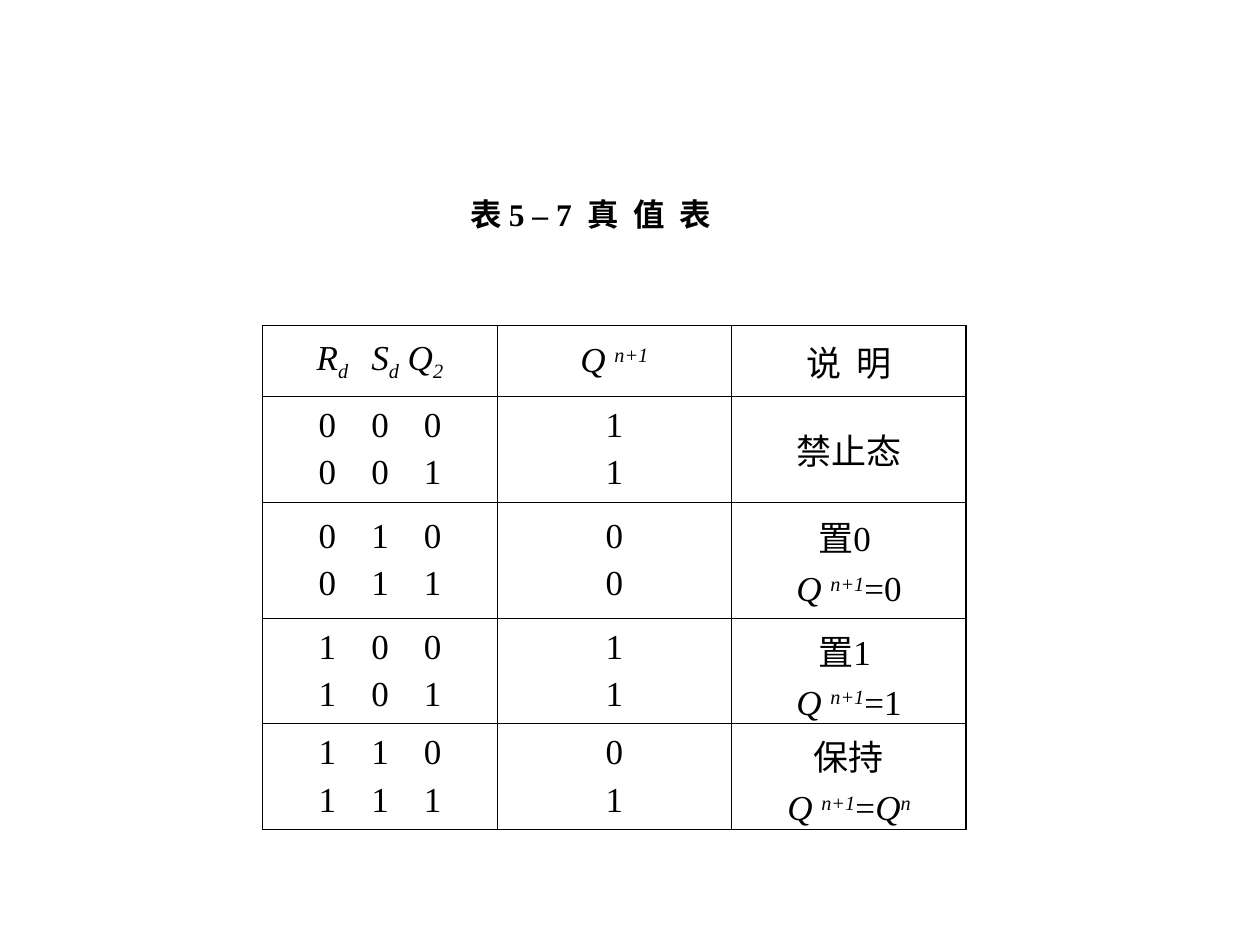
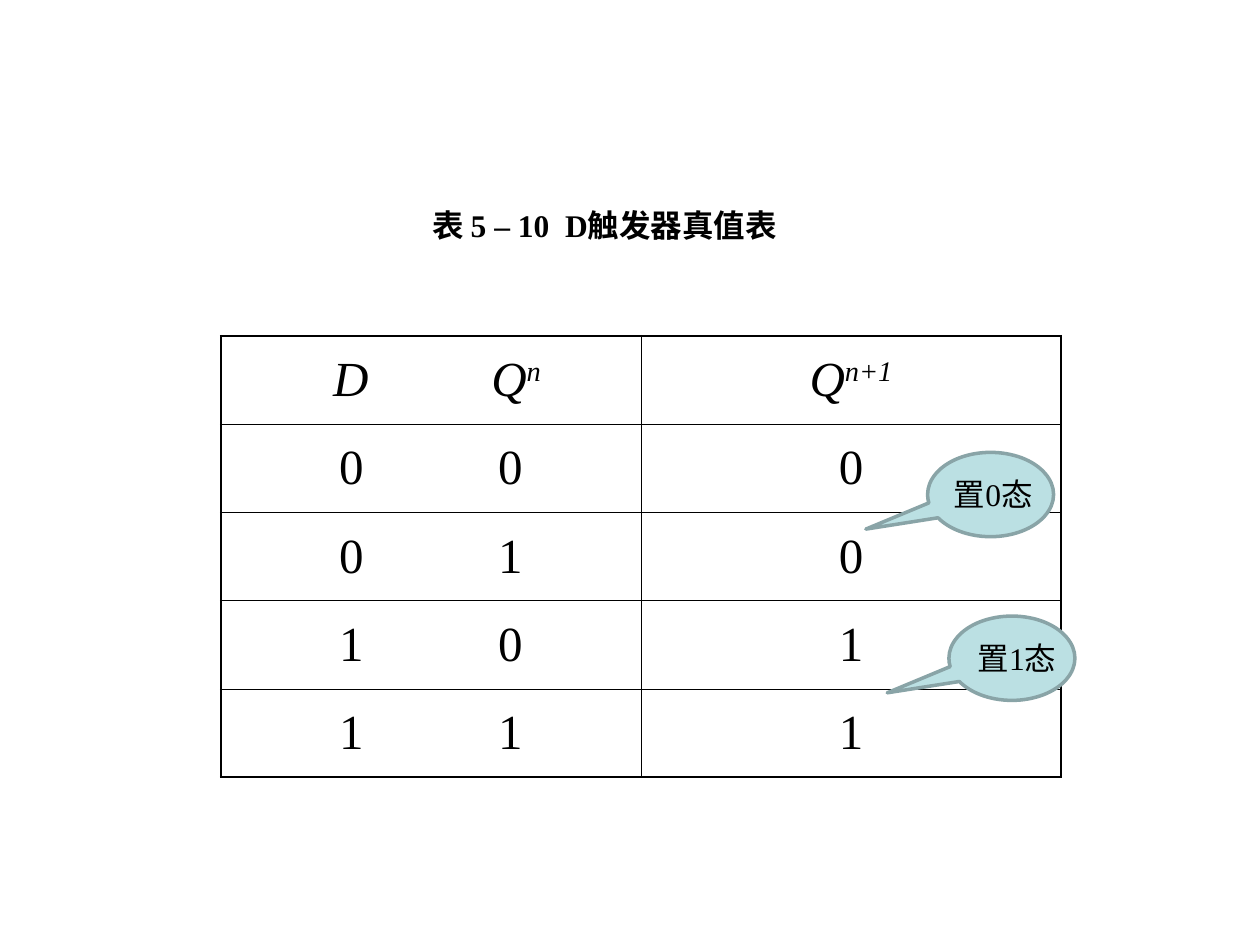
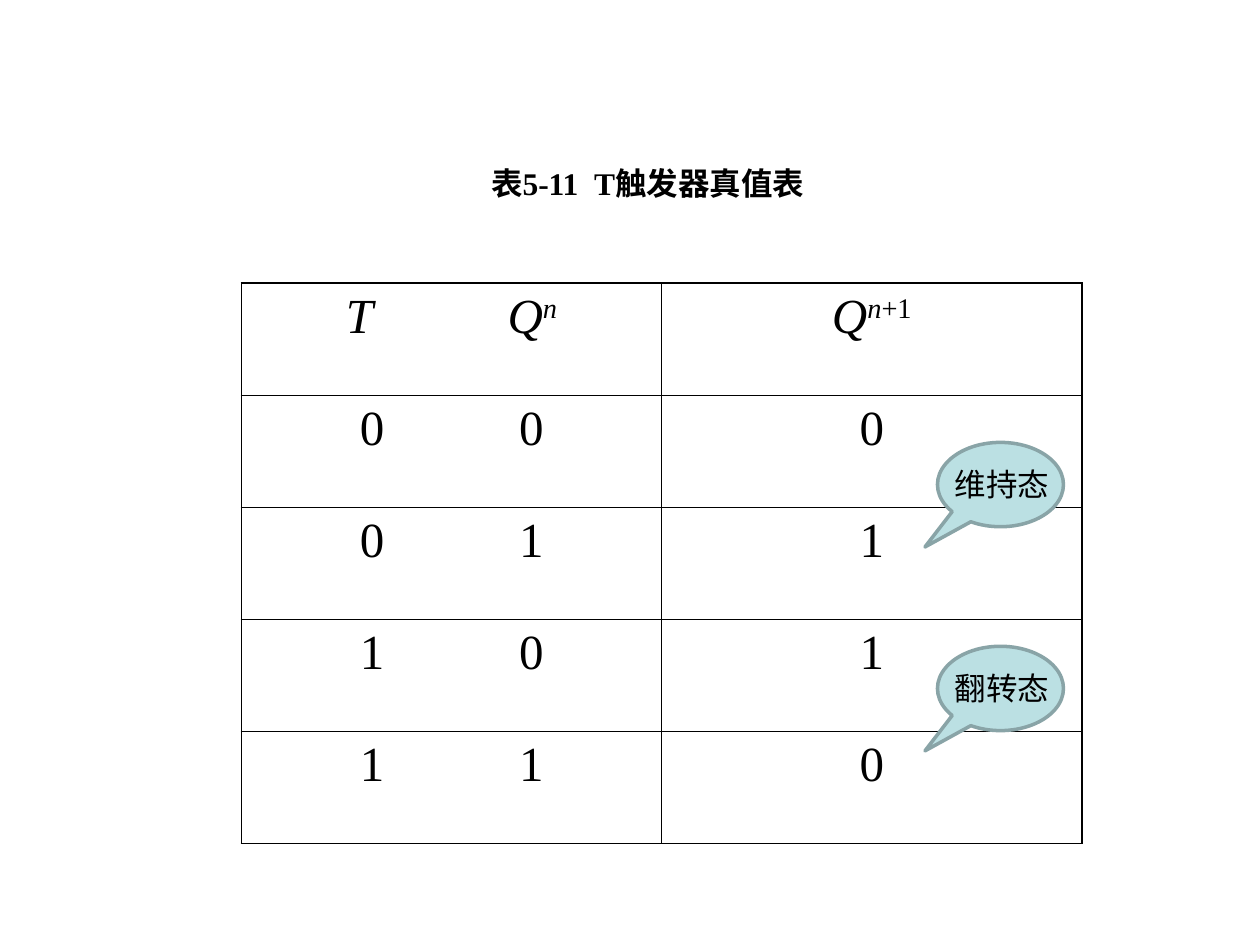
from lxml import etree
from pptx import Presentation
from pptx import util as u
from pptx.dml import color
from pptx.enum import shapes, text
from pptx.oxml import ns

BASELINES = {"^": "30000", "_": "-25000"}


def rgb(value):
    return color.RGBColor.from_string(value)


def add_child(parent, tag, **attributes):
    return etree.SubElement(parent, ns.qn(tag), attributes)


class TruthTableDeck:
    font = "Times New Roman"
    ink = "000000"
    bubble_fill = "BBE0E3"
    bubble_line = "89A4A7"
    label_size = 18
    outer, inner = 1.08, 0.45

    def __init__(self):
        self.prs = Presentation()
        self.prs.slide_width = u.Cm(25.4)
        self.prs.slide_height = u.Cm(19.05)
        self.slide = None

    def new_slide(self):
        self.slide = self.prs.slides.add_slide(self.prs.slide_layouts[6])

    def run(self, paragraph, words, size, style="", bold=False):
        """Style marks: i italic, ^ superscript, _ subscript."""
        run = paragraph.add_run()
        run.text = words
        run.font.name = self.font
        run.font.size = u.Pt(size)
        run.font.bold = bold
        run.font.italic = "i" in style
        run.font.color.rgb = rgb(self.ink)
        for mark in style:
            if mark in BASELINES:
                run.font._element.set("baseline", BASELINES[mark])

    def label(self, words, left, top, width, bold=False):
        box = self.slide.shapes.add_textbox(
            u.Cm(left), u.Cm(top), u.Cm(width), u.Cm(1.02))
        box.text_frame.word_wrap = False
        box.text_frame.auto_size = text.MSO_AUTO_SIZE.SHAPE_TO_FIT_TEXT
        self.run(box.text_frame.paragraphs[0], words, self.label_size, bold=bold)

    def callout(self, words, left, top, tail, inset):
        bubble = self.slide.shapes.add_shape(
            shapes.MSO_SHAPE.OVAL_CALLOUT,
            u.Cm(left), u.Cm(top), u.Cm(2.54), u.Cm(1.7))
        bubble.shadow.inherit = False
        bubble.adjustments[0], bubble.adjustments[1] = tail
        bubble.fill.solid()
        bubble.fill.fore_color.rgb = rgb(self.bubble_fill)
        bubble.line.color.rgb = rgb(self.bubble_line)
        bubble.line.width = u.Pt(2)
        self.label(words, left + inset, top + 0.33, 2.46)

    def borders(self, cell, outer_sides):
        tc_pr = cell._tc.get_or_add_tcPr()
        for side, is_outer in zip("LRTB", outer_sides):
            width = u.Pt(self.outer if is_outer else self.inner)
            line = add_child(tc_pr, f"a:ln{side}", w=str(width))
            add_child(add_child(line, "a:solidFill"), "a:srgbClr", val=self.ink)

    def paragraph(self, paragraph, runs, size, stops):
        paragraph.space_before = u.Pt(size / 4)
        paragraph.alignment = text.PP_ALIGN.LEFT if stops else text.PP_ALIGN.CENTER
        if stops:
            tabs = add_child(paragraph._p.get_or_add_pPr(), "a:tabLst")
            for stop in stops:
                add_child(tabs, "a:tab", pos=str(u.Cm(stop)), algn="l")
        for words, style in runs:
            self.run(paragraph, words, size, style)

    def table(self, left, top, col_width, heights, rows, size,
              head_stops, digit_stops, anchor=text.MSO_ANCHOR.MIDDLE):
        """Each cell is a list of paragraphs, each a list of (words, style)."""
        n_rows, n_cols = len(rows), len(rows[0])
        grid = self.slide.shapes.add_table(
            n_rows, n_cols, u.Cm(left), u.Cm(top),
            u.Cm(col_width * n_cols), u.Cm(sum(heights))).table
        grid.first_row = grid.horz_banding = False
        for column in grid.columns:
            column.width = u.Cm(col_width)
        for r, (height, row) in enumerate(zip(heights, rows)):
            grid.rows[r].height = u.Cm(height)
            for c, lines in enumerate(row):
                cell = grid.cell(r, c)
                cell.vertical_anchor = anchor
                self.borders(cell, (c == 0, c == n_cols - 1, r == 0, r == n_rows - 1))
                cell.fill.background()
                stops = () if c else digit_stops if r else head_stops
                for i, runs in enumerate(lines):
                    frame = cell.text_frame
                    target = frame.add_paragraph() if i else frame.paragraphs[0]
                    self.paragraph(target, runs, size, stops)


def plain(*lines):
    return [[(line, "")] for line in lines]


def inputs(*codes):
    """Input digits, each one on its own tab stop."""
    return plain(*("".join("\t" + digit for digit in code) for code in codes))


def next_state(*result):
    return [("Q ", "i"), ("n+1", "i^"), *result]


def flip_flop_rows(symbol, head, outputs):
    header = [[[("\t" + symbol + "\tQ", "i"), ("n", "i^")]], [head]]
    return [header] + [[inputs(code), plain(output)]
                       for code, output in zip(("00", "01", "10", "11"), outputs)]


def main():
    deck = TruthTableDeck()

    # Truth table with three inputs
    deck.new_slide()
    deck.label("表 5 – 7  真  值  表", 9.23, 3.81, 5.79, bold=True)
    variables = [("\tR", "i"), ("d", "i_"), ("\tS", "i"), ("d", "i_"),
                 (" Q", "i"), ("2", "i_")]
    rows = [
        [[variables], [next_state()], plain("说  明")],
        [inputs("000", "001"), plain("1", "1"), plain("禁止态")],
        [inputs("010", "011"), plain("0", "0"),
         plain("置0 ") + [next_state(("=0", ""))]],
        [inputs("100", "101"), plain("1", "1"),
         plain("置1 ") + [next_state(("=1", ""))]],
        [inputs("110", "111"), plain("0", "1"),
         plain("保持") + [next_state(("=", ""), ("Q", "i"), ("n", "i^"))]],
    ]
    deck.table(5.29, 6.56, 4.73, [1.43, 2.13, 2.34, 2.13, 2.13], rows, 20,
               head_stops=(0.84, 1.94), digit_stops=(0.88, 1.94, 3))

    # D flip-flop
    deck.new_slide()
    deck.label("表 5 – 10  D触发器真值表", 8.46, 4.03, 7.9, bold=True)
    rows = flip_flop_rows("D", [("Q", "i"), ("n+1", "i^")], "0011")
    deck.table(4.45, 6.77, 8.47, [1.78] * 5, rows, 28,
               head_stops=(2.01, 5.2), digit_stops=(2.13, 5.34))
    tail = (-0.99, 0.41)
    deck.callout("置0态", 18.7, 9.12, tail, 0.28)
    deck.callout("置1态", 19.13, 12.42, tail, 0.33)

    # T flip-flop
    deck.new_slide()
    deck.label("表5-11  T触发器真值表", 9.65, 3.18, 7.29, bold=True)
    rows = flip_flop_rows("T", [("Q", "i"), ("n", "i^"), ("+1", "^")], "0110")
    deck.table(4.87, 5.71, 8.47, [2.26] * 5, rows, 28,
               head_stops=(1.85, 5.11), digit_stops=(2.13, 5.34),
               anchor=text.MSO_ANCHOR.TOP)
    tail = (-0.6, 0.74)
    deck.callout("维持态", 18.9, 8.92, tail, 0.1)
    deck.callout("翻转态", 18.9, 13.03, tail, 0.1)

    deck.prs.save("out.pptx")


if __name__ == "__main__":
    main()
